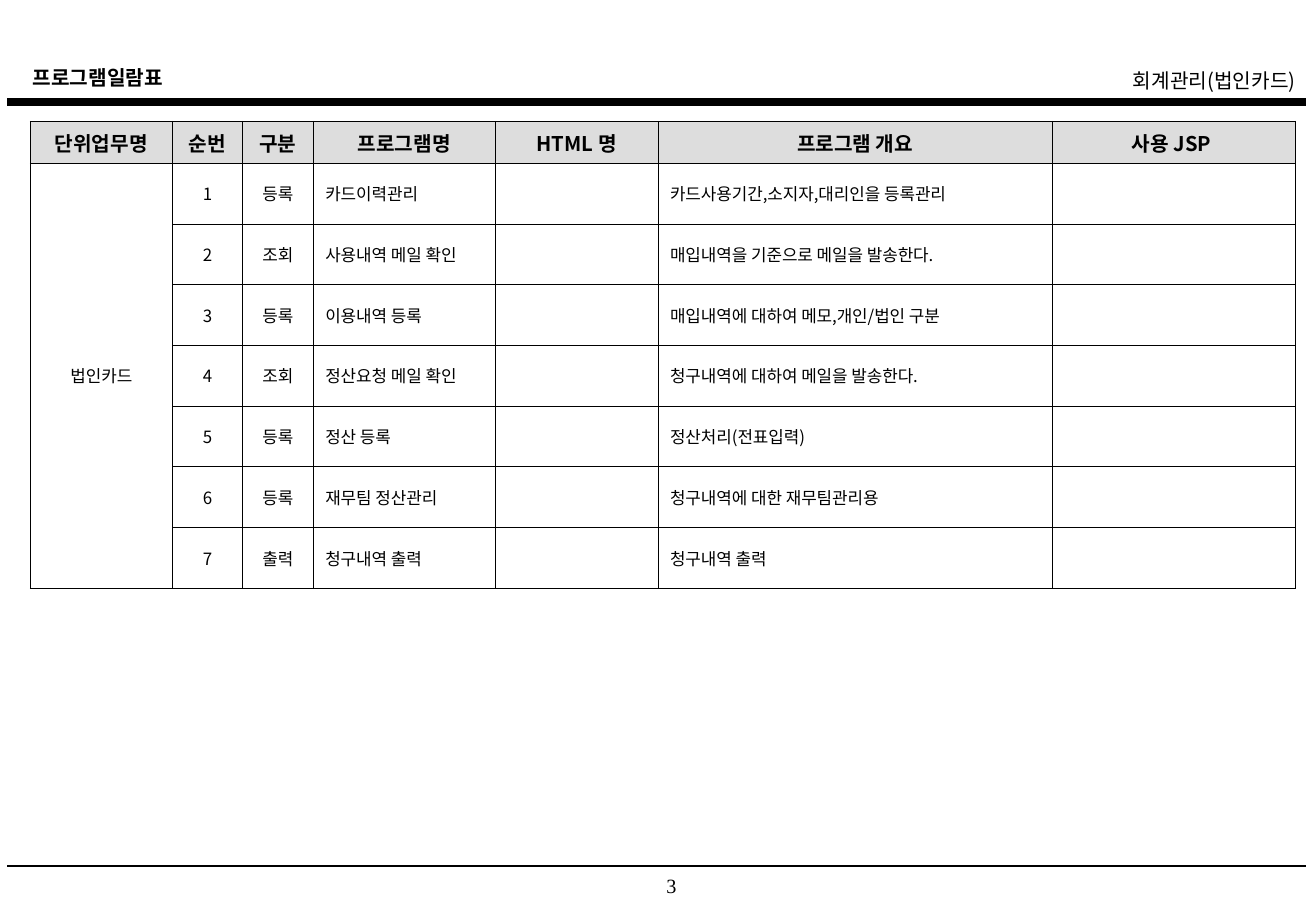
from dataclasses import dataclass

from lxml import etree
from pptx import Presentation
from pptx.dml.color import RGBColor
from pptx.enum.shapes import MSO_CONNECTOR
from pptx.enum.text import MSO_ANCHOR, MSO_AUTO_SIZE, PP_ALIGN
from pptx.oxml.ns import qn
from pptx.util import Emu, Pt

EMU_PER_PX = 9144
BLACK = RGBColor(0x00, 0x00, 0x00)
HEADER_GRAY = RGBColor(0xDD, 0xDD, 0xDD)
KOREAN_FONT = "Noto Sans CJK KR"
NUMBER_FONT = "Times New Roman"
LEFT, CENTER, RIGHT = PP_ALIGN.LEFT, PP_ALIGN.CENTER, PP_ALIGN.RIGHT
TOP, MIDDLE = MSO_ANCHOR.TOP, MSO_ANCHOR.MIDDLE
NO_AUTOFIT = MSO_AUTO_SIZE.NONE
STRAIGHT = MSO_CONNECTOR.STRAIGHT

TABLE_LEFT, TABLE_TOP = 25, 100
HEADER_HEIGHT, ROW_HEIGHT = 31, 50
OUTER_BORDER, INNER_BORDER, ROW_BORDER = 0.75, 0.45, 0.34
BUSINESS_UNIT = "법인카드"


@dataclass(frozen=True)
class Column:
    heading: str
    width: int
    alignment: PP_ALIGN


@dataclass(frozen=True)
class Program:
    kind: str
    name: str
    summary: str


@dataclass(frozen=True)
class Label:
    text: str
    left: int
    top: int
    width: int
    height: int
    alignment: PP_ALIGN
    font: str = KOREAN_FONT
    bold: bool = False
    margin_left: int = 10


@dataclass(frozen=True)
class Rule:
    y: int
    weight: float


COLUMNS = [
    Column("단위업무명", 117, CENTER),
    Column("순번", 58, CENTER),
    Column("구분", 58, CENTER),
    Column("프로그램명", 150, LEFT),
    Column("HTML 명", 134, LEFT),
    Column("프로그램 개요", 325, LEFT),
    Column("사용 JSP ", 200, LEFT),
]
PROGRAMS = [
    Program("등록", "카드이력관리", "카드사용기간,소지자,대리인을 등록관리"),
    Program("조회", "사용내역 메일 확인", "매입내역을 기준으로 메일을 발송한다."),
    Program("등록", "이용내역 등록", "매입내역에 대하여 메모,개인/법인 구분"),
    Program("조회", "정산요청 메일 확인", "청구내역에 대하여 메일을 발송한다."),
    Program("등록", "정산 등록", "정산처리(전표입력)"),
    Program("등록", "재무팀 정산관리", "청구내역에 대한 재무팀관리용"),
    Program("출력", "청구내역 출력", "청구내역 출력"),
]
TITLE = Label("프로그램일람표", 17, 49, 435, 30, LEFT, bold=True)
SECTION = Label("회계관리(법인카드)", 608, 51, 469, 30, RIGHT)
PAGE_NUMBER = Label("3", 502, 714, 78, 27, CENTER, NUMBER_FONT, margin_left=34)
RULES = [Rule(84, 4.5), Rule(713, 1)]


def px(length: int) -> Emu:
    return Emu(length * EMU_PER_PX)


def format_paragraph(paragraph, alignment: PP_ALIGN, size: float, font: str = KOREAN_FONT,
                     bold: bool = False, space_before: float = 0) -> None:
    paragraph.alignment = alignment
    paragraph.space_before = Pt(space_before)
    for run in paragraph.runs:
        run.font.size = Pt(size)
        run.font.bold = bold
        run.font.color.rgb = BLACK
        run.font.name = font
        east_asian = etree.SubElement(run.font._element, qn("a:ea"))
        east_asian.set("typeface", font)


def fill_label(shape, label: Label) -> None:
    shape.left, shape.top = px(label.left), px(label.top)
    shape.width, shape.height = px(label.width), px(label.height)
    frame = shape.text_frame
    frame.text = label.text
    frame.word_wrap = True
    frame.auto_size = NO_AUTOFIT
    frame.vertical_anchor = TOP
    frame.margin_left, frame.margin_right = px(label.margin_left), px(10)
    frame.margin_top = frame.margin_bottom = px(5)
    format_paragraph(frame.paragraphs[0], label.alignment, 12, label.font, label.bold)


def add_rule(slide, rule: Rule) -> None:
    connector = slide.shapes.add_connector(STRAIGHT, px(6), px(rule.y), px(1076), px(rule.y))
    connector.line.color.rgb = BLACK
    connector.line.width = Pt(rule.weight)
    etree.SubElement(connector._element.spPr, qn("a:effectLst"))


def set_borders(cell, row: int, column: int) -> None:
    """Draw a heavier frame round the table and the finest lines between body rows."""
    last_row, last_column = len(PROGRAMS), len(COLUMNS) - 1
    in_unit_cell = column == 0 and row > 0
    top = OUTER_BORDER if row == 0 else INNER_BORDER if row == 1 or in_unit_cell else ROW_BORDER
    bottom = (INNER_BORDER if row == 0
              else OUTER_BORDER if row == last_row or in_unit_cell else ROW_BORDER)
    weights = {
        "a:lnL": OUTER_BORDER if column == 0 else INNER_BORDER,
        "a:lnR": OUTER_BORDER if column == last_column else INNER_BORDER,
        "a:lnT": top,
        "a:lnB": bottom,
    }
    properties = cell._tc.get_or_add_tcPr()
    for tag, weight in weights.items():
        line = etree.SubElement(properties, qn(tag), w=str(Pt(weight)))
        fill = etree.SubElement(line, qn("a:solidFill"))
        etree.SubElement(fill, qn("a:srgbClr"), val=str(BLACK))


def fill_cell(cell, text: str, alignment: PP_ALIGN, is_header: bool) -> None:
    if is_header:
        cell.fill.solid()
        cell.fill.fore_color.rgb = HEADER_GRAY
    else:
        cell.fill.background()
    cell.vertical_anchor = MIDDLE
    cell.margin_left = cell.margin_right = px(10)
    cell.margin_top = cell.margin_bottom = px(5)
    if text:
        cell.text_frame.text = text
        format_paragraph(cell.text_frame.paragraphs[0], alignment, 12 if is_header else 10,
                         bold=is_header, space_before=3 if is_header else 2.5)


def add_program_table(slide) -> None:
    rows = [[column.heading for column in COLUMNS]]
    for number, program in enumerate(PROGRAMS, start=1):
        unit = BUSINESS_UNIT if number == 1 else ""
        rows.append([unit, str(number), program.kind, program.name, "", program.summary, ""])
    width = sum(column.width for column in COLUMNS)
    height = HEADER_HEIGHT + ROW_HEIGHT * len(PROGRAMS)
    table = slide.shapes.add_table(len(rows), len(COLUMNS), px(TABLE_LEFT), px(TABLE_TOP),
                                   px(width), px(height)).table
    table.first_row = table.horz_banding = False
    for index, column in enumerate(COLUMNS):
        table.columns[index].width = px(column.width)
    for row, texts in enumerate(rows):
        is_header = row == 0
        table.rows[row].height = px(HEADER_HEIGHT if is_header else ROW_HEIGHT)
        for index, text in enumerate(texts):
            cell = table.cell(row, index)
            set_borders(cell, row, index)
            fill_cell(cell, text, CENTER if is_header else COLUMNS[index].alignment, is_header)
    table.cell(1, 0).merge(table.cell(len(PROGRAMS), 0))


def main() -> None:
    presentation = Presentation()
    presentation.slide_width, presentation.slide_height = px(1084), px(750)
    slide = presentation.slides.add_slide(presentation.slide_layouts[5])
    fill_label(slide.shapes.title, TITLE)
    for rule in RULES:
        add_rule(slide, rule)
    for label in (SECTION, PAGE_NUMBER):
        fill_label(slide.shapes.add_textbox(0, 0, 0, 0), label)
    add_program_table(slide)
    presentation.save("out.pptx")


if __name__ == "__main__":
    main()
